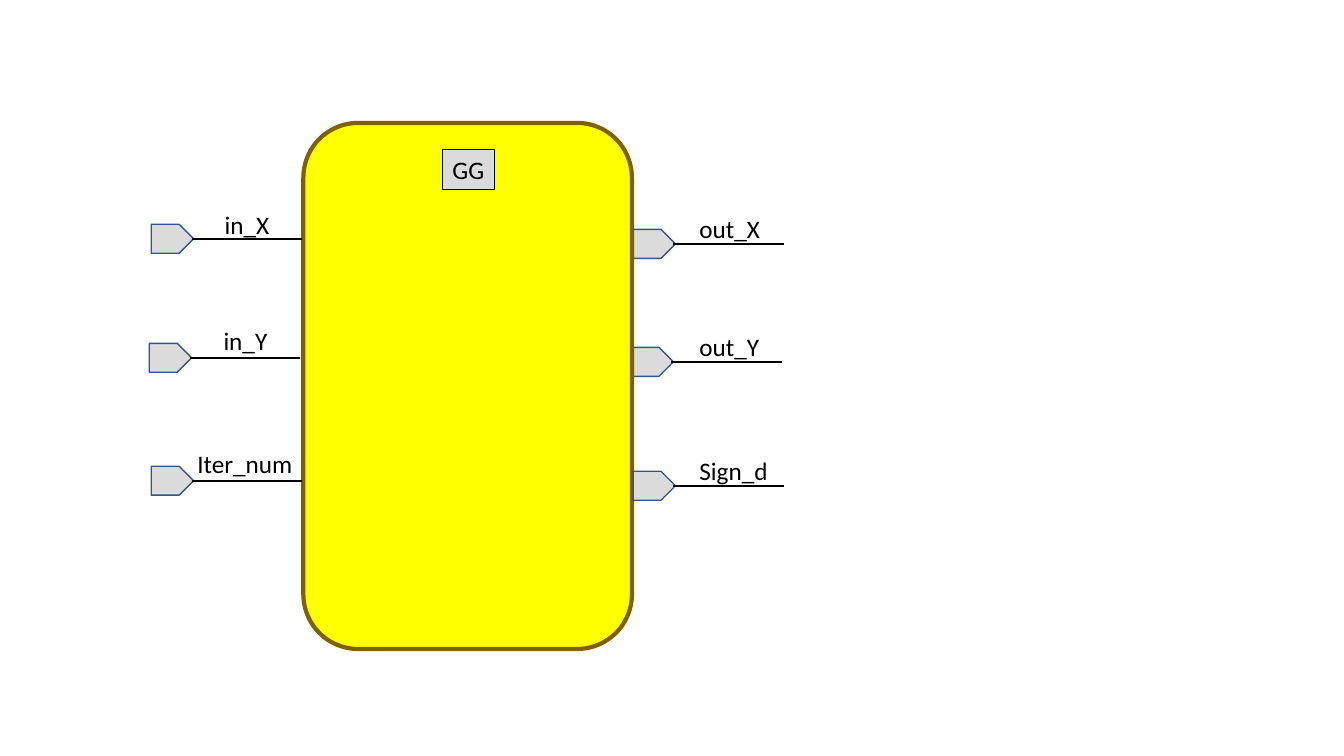
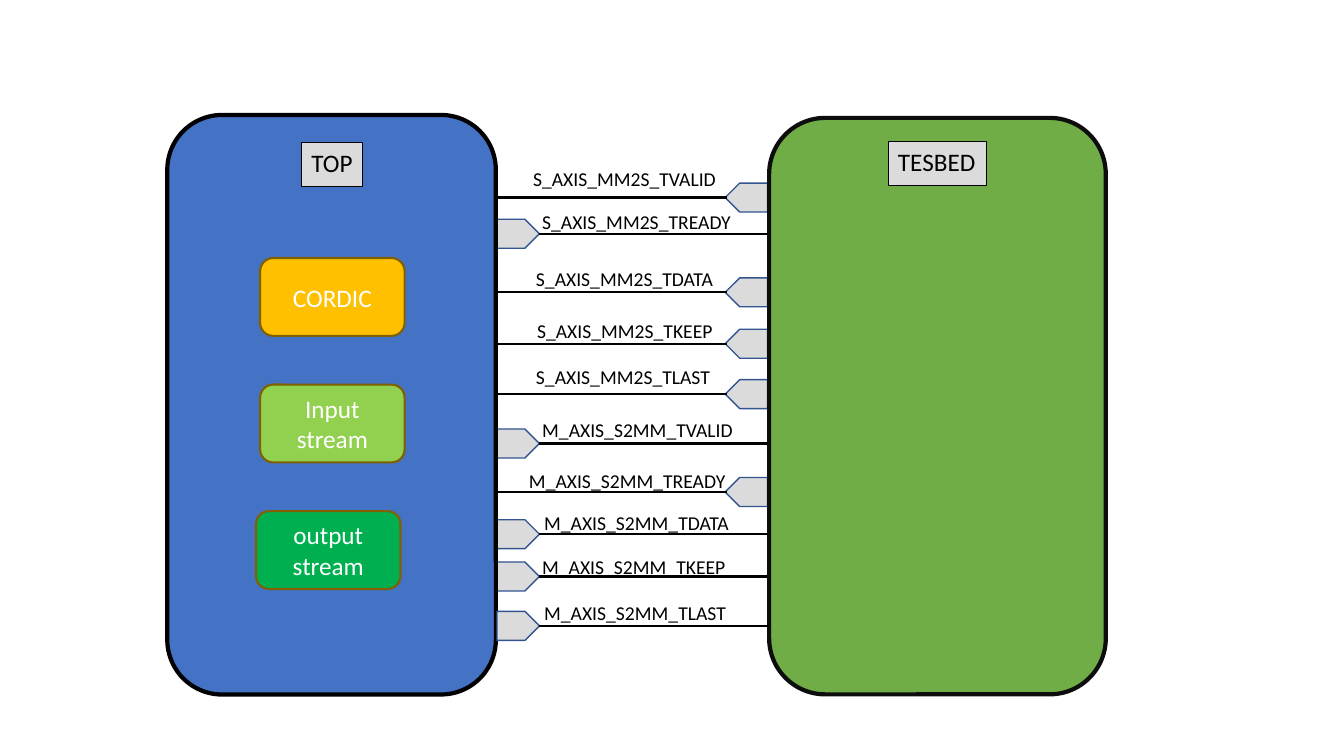
from pptx import Presentation
from pptx.dml.color import RGBColor as RGB
from pptx.enum.shapes import MSO_CONNECTOR as CONN, MSO_SHAPE as SHAPE
from pptx.enum.text import MSO_ANCHOR as ANCHOR, MSO_AUTO_SIZE as FIT, PP_ALIGN as ALIGN
from pptx.util import Pt
from lxml.etree import SubElement

HUES = {
    "black": "000000", "white": "FFFFFF", "ink": "0D0D0D",
    "grey": "DBDBDB", "navy": "325491", "brown": "806000",
    "yellow": "FFFF00", "blue": "4472C4", "green": "70AD47",
    "gold": "FFC000", "lime": "92D050", "leaf": "00B050",
}
FONT = "Calibri"
PORT_W, PORT_H = 30.3, 20.7
TIP = 28.8  # from the back of a port to the start of its wire
A_NS = "{http://schemas.openxmlformats.org/drawingml/2006/main}"


def hue(name):
    return RGB.from_string(HUES[name])


def write(frame, text, size, color):
    run = frame.paragraphs[0].add_run()
    run.text = text
    run.font.name = FONT
    run.font.size = Pt(size)
    run.font.color.rgb = hue(color)


def hug(frame):
    """Let the box fit one unwrapped line."""
    frame.word_wrap = False
    frame.auto_size = FIT.SHAPE_TO_FIT_TEXT
    frame.vertical_anchor = ANCHOR.TOP
    frame.paragraphs[0].alignment = ALIGN.LEFT


def box(slide, kind, area, fill, edge, width):
    shape = slide.shapes.add_shape(kind, *map(Pt, area))
    shape.shadow.inherit = False
    shape.fill.solid()
    shape.fill.fore_color.rgb = hue(fill)
    shape.line.color.rgb = hue(edge)
    shape.line.width = Pt(width)
    return shape


def block(slide, area, fill, edge):
    box(slide, SHAPE.ROUNDED_RECTANGLE, area, fill, edge, 3)


def tag(slide, area, text):
    shape = box(slide, SHAPE.RECTANGLE, area, "grey", "black", 0.75)
    hug(shape.text_frame)
    write(shape.text_frame, text, 18, "black")


def part(slide, left, top, text, fill):
    area = (left, top, 103.2, 55.6)
    frame = box(slide, SHAPE.ROUNDED_RECTANGLE, area, fill, "brown", 1.5).text_frame
    frame.word_wrap = True
    frame.vertical_anchor = ANCHOR.MIDDLE
    frame.paragraphs[0].alignment = ALIGN.CENTER
    write(frame, text, 18, "white")


def port(slide, left, mid, turn=0):
    area = (left, mid - PORT_H / 2, PORT_W, PORT_H)
    box(slide, SHAPE.PENTAGON, area, "grey", "navy", 1).rotation = turn


def wire(slide, start, end, mid):
    line = slide.shapes.add_connector(CONN.STRAIGHT, Pt(start), Pt(mid), Pt(end), Pt(mid))
    line.line.color.rgb = hue("black")
    line.line.width = Pt(1.5)
    SubElement(line._element.spPr, A_NS + "effectLst")


def label(slide, left, top, width, text, size):
    area = (left, top, width, size * 1.2 + 7.2)
    frame = slide.shapes.add_textbox(*map(Pt, area)).text_frame
    hug(frame)
    write(frame, text, size, "black")


def pin(slide, left, mid, text, *spot):
    """A port with a short wire to its right and a label."""
    port(slide, left, mid)
    wire(slide, left + TIP, left + TIP + 79.2, mid)
    label(slide, *spot, text, 18)


def signal(slide, mid, sent, text, *spot):
    """A wire across the gap; its port stands on the side that sends it."""
    if sent:
        port(slide, 355, mid)
        wire(slide, 385, 549.2, mid)
    else:
        port(slide, 518, mid, 180)
        wire(slide, 354.6, 519.4, mid)
    label(slide, *spot, text, 14)


def draw_gg(slide):
    # Ports behind the block
    pin(slide, 450.7, 258.5, "out_Y", 492.5, 233.3, 57.6)
    pin(slide, 452.2, 174.2, "out_X", 492.5, 149, 58.3)
    # Block
    block(slide, (216.7, 87.8, 234.7, 375.8), "yellow", "brown")
    tag(slide, (316.1, 106.6, 37.4, 28.8), "GG")
    # Ports in front
    pin(slide, 452.2, 347, "Sign_d", 492.5, 321.8, 64.1)
    pin(slide, 106.6, 255.6, "in_Y", 152.6, 229, 46.1)
    pin(slide, 108, 170.6, "in_X", 153.4, 146.2, 46.8)
    pin(slide, 108, 343.4, "Iter_num", 133.9, 316.8, 82.8)


def draw_top(slide):
    # Wire height, sent by TOP, name, label left, top and width
    signals = [
        (141.1, False, "S_AXIS_MM2S_TVALID", 373.7, 115.9, 145),
        (167, True, "S_AXIS_MM2S_TREADY", 380.2, 146.2, 150.5),
        (208.8, False, "S_AXIS_MM2S_TDATA", 375.8, 187.2, 141.8),
        (245.5, False, "S_AXIS_MM2S_TKEEP", 376.6, 224.6, 141.1),
        (281.5, False, "S_AXIS_MM2S_TLAST", 375.8, 257, 139.7),
        (316.8, True, "M_AXIS_S2MM_TVALID", 380.2, 295.2, 151.9),
        (351.4, False, "M_AXIS_S2MM_TREADY", 370.8, 331.2, 156.2),
        (381.6, True, "M_AXIS_S2MM_TDATA", 381.6, 361.4, 147.6),
        (411.8, True, "M_AXIS_S2MM_TKEEP", 380.2, 393.1, 146.9),
        (447.1, True, "M_AXIS_S2MM_TLAST", 381.6, 425.5, 145.4),
    ]
    *behind, front = signals
    for row in behind:
        signal(slide, *row)
    # Blocks
    block(slide, (549.4, 84.2, 240.5, 411.8), "green", "ink")
    tag(slide, (634.3, 100.8, 70.6, 31.7), "TESBED")
    block(slide, (119.5, 82.1, 234.7, 414), "blue", "black")
    tag(slide, (215.3, 101.5, 43.9, 31.7), "TOP")
    # Parts of TOP
    parts = [
        (185.8, "CORDIC", "gold"),
        (185.8, "Input stream", "lime"),
        (182.9, "output stream", "leaf"),
    ]
    for i, (left, text, fill) in enumerate(parts):
        part(slide, left, 184.3 + i * 90.4, text, fill)
    signal(slide, *front)


def main():
    deck = Presentation()
    deck.slide_width, deck.slide_height = Pt(960), Pt(540)
    for draw in (draw_gg, draw_top):
        draw(deck.slides.add_slide(deck.slide_layouts[6]))
    deck.save("out.pptx")


main()
